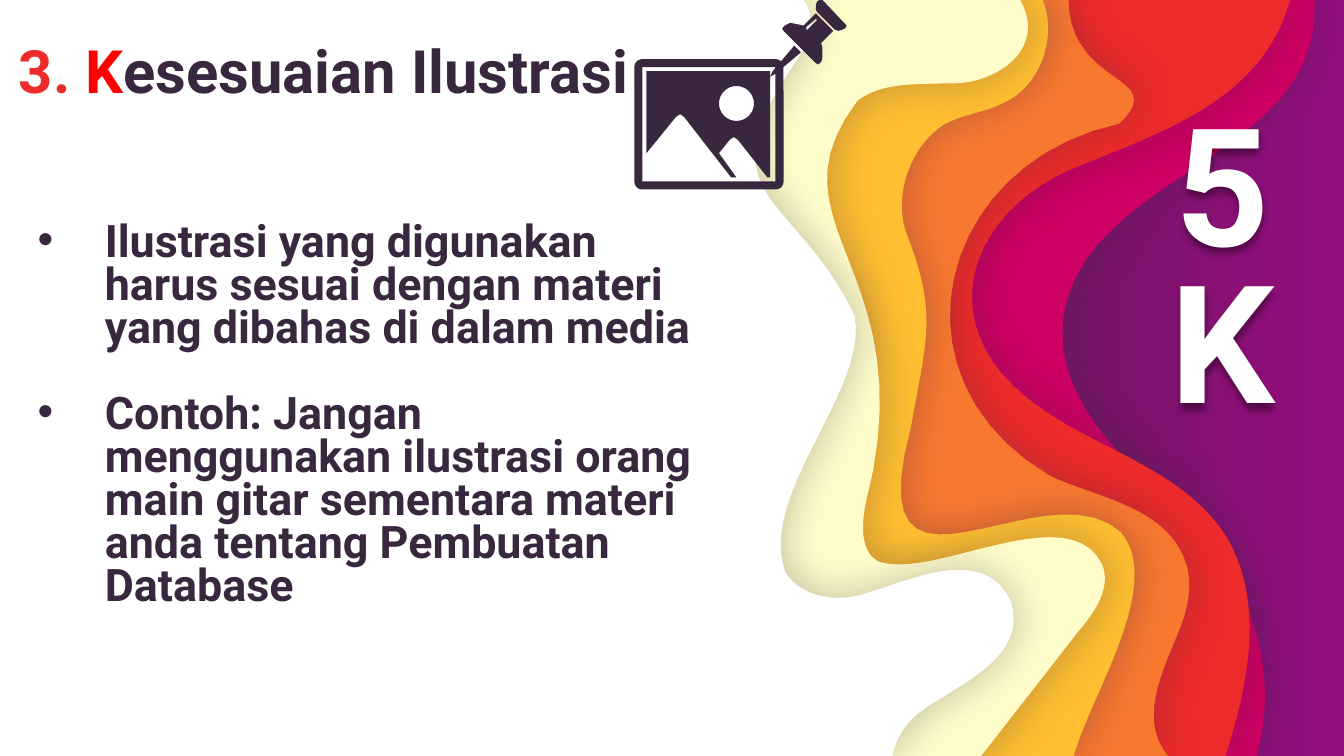
from lxml.etree import SubElement
from math import cos, pi, sin

from pptx import Presentation
from pptx.dml.color import RGBColor
from pptx.enum.shapes import MSO_SHAPE
from pptx.enum.text import MSO_ANCHOR, MSO_AUTO_SIZE, PP_ALIGN
from pptx.oxml.ns import qn
from pptx.util import Inches, Pt

PURPLE = RGBColor(0x94, 0x0D, 0x7F)
DARK_PURPLE = RGBColor(0x5E, 0x1B, 0x53)
MAGENTA = RGBColor(0xCE, 0x00, 0x63)
RED = RGBColor(0xED, 0x2B, 0x2B)
BRIGHT_RED = RGBColor(0xFF, 0x00, 0x00)
ORANGE = RGBColor(0xF9, 0x78, 0x30)
YELLOW = RGBColor(0xFF, 0xBF, 0x31)
CREAM = RGBColor(0xFE, 0xFD, 0xCA)
WHITE = RGBColor(0xFF, 0xFF, 0xFF)
INK = RGBColor(0x39, 0x27, 0x3F)
BLACK = RGBColor(0x00, 0x00, 0x00)

WIDTH = 10
HEIGHT = WIDTH * 9 / 16
CURVE_STEPS = 20

presentation = Presentation()
presentation.slide_width = Inches(WIDTH)
presentation.slide_height = Inches(HEIGHT)
slide = presentation.slides.add_slide(presentation.slide_layouts[1])
shapes = slide.shapes


def add_outline(contours, color):
    points = [[(Inches(x), Inches(y)) for x, y in contour] for contour in contours]
    builder = shapes.build_freeform(*points[0][0], scale=1.0)
    builder.add_line_segments(points[0][1:], close=True)
    for contour in points[1:]:
        builder.move_to(*contour[0])
        builder.add_line_segments(contour[1:], close=True)
    shape = builder.convert_to_shape()
    shape.fill.solid()
    shape.fill.fore_color.rgb = color
    shape.line.fill.background()
    shape.shadow.inherit = False
    return shape


def add_text(paragraph, text, size=24, color=INK, align=PP_ALIGN.LEFT):
    paragraph.alignment = align
    paragraph.line_spacing = 0.8
    paragraph.space_before = Pt(0)
    run = paragraph.add_run()
    run.text = text
    run.font.name = "Roboto"
    run.font.size = Pt(size)
    run.font.bold = True
    run.font.color.rgb = color


background = slide.background.fill
background.gradient()
background.gradient_angle = 180
for stop, color, position in zip(background.gradient_stops, (PURPLE, DARK_PURPLE), (0, 0.37)):
    stop.color.rgb = color
    stop.position = position

waves = [
    (MAGENTA, (9.14, 4.25),
     [(8.74, 3.64, 7.83, 3.19, 7.91, 2.37), (8.06, 1.28, 9.85, 1.19, 9.78, 0)],
     [(9.35, HEIGHT)], [(9.48, 5.16, 9.4, 4.66, 9.14, 4.25)]),
    (RED, (9.13, 4),
     [(8.79, 3.46, 8.1, 3.34, 7.63, 2.95), (6.94, 2.39, 7.21, 1.59, 7.97, 1.26),
      (8.62, 0.99, 9.39, 0.76, 9.6, 0)],
     [(9.12, HEIGHT)], [(9.28, 5.11, 9.42, 4.5, 9.13, 4)]),
    (ORANGE, (8.74, 4.77),
     [(8.82, 4.59, 8.88, 4.4, 8.83, 4.21), (8.7, 3.77, 8.17, 3.71, 7.81, 3.54),
      (6.57, 2.81, 6.98, 1.21, 8.33, 0.92), (8.71, 0.55, 7.96, 0.66, 7.95, 0)],
     [(8.69, HEIGHT)], [(8.48, 5.37, 8.63, 5.04, 8.74, 4.77)]),
    (YELLOW, (8.34, 3.96),
     [(7.76, 3.44, 6.36, 4.74, 6.78, 3.17), (6.89, 2.54, 6.98, 2.34, 6.75, 1.75),
      (6.64, 1.47, 6.77, 1.09, 7.02, 0.93), (7.16, 0.85, 7.32, 0.84, 7.46, 0.77),
      (7.74, 0.65, 7.87, 0.28, 7.76, 0)],
     [(7.99, HEIGHT)], [(8.11, 5.18, 8.67, 4.35, 8.34, 3.96)]),
    (CREAM, (8.2, 4.2),
     [(7.95, 3.69, 6.95, 4.32, 6.54, 4.18), (6.4, 4.11, 6.41, 3.91, 6.44, 3.75),
      (6.9, 2, 5.67, 1.68, 6.38, 0.75), (6.56, 0.61, 6.82, 0.63, 7.05, 0.62),
      (7.41, 0.64, 7.8, 0.36, 7.59, 0)],
     [(7.3, HEIGHT), (8.03, 4.69)], [(8.15, 4.55, 8.27, 4.37, 8.2, 4.2)]),
    (WHITE, (6.83, 5.31),
     [(7.1, 5.1, 7.66, 4.91, 7.52, 4.47), (7.3, 4.03, 6.74, 4.34, 6.39, 4.43),
      (6.19, 4.48, 5.94, 4.43, 5.84, 4.25), (5.64, 3.67, 6.46, 2.91, 6.36, 2.35),
      (5.91, 1.41, 5.2, 1.5, 5.94, 0.43), (6.03, 0.3, 6.07, 0.13, 5.98, 0)],
     [(6.64, HEIGHT)], [(6.66, 5.51, 6.73, 5.39, 6.83, 5.31)]),
]
shadowed = []
for color, start, upper_curves, corner, lower_curves in waves:
    outline = [start]
    for segment in upper_curves + [(0, 0), (0, HEIGHT)] + corner + lower_curves:
        if len(segment) == 2:
            outline.append(segment)
            continue
        x0, y0 = outline[-1]
        x1, y1, x2, y2, x3, y3 = segment
        for step in range(1, CURVE_STEPS + 1):
            t = step / CURVE_STEPS
            a, b, c, d = (1 - t) ** 3, 3 * t * (1 - t) ** 2, 3 * t * t * (1 - t), t ** 3
            outline.append((a * x0 + b * x1 + c * x2 + d * x3,
                            a * y0 + b * y1 + c * y2 + d * y3))
    shadowed.append((add_outline([outline], color), INK, 22.5, 0.8, 0, 30))

badge = shapes.add_textbox(Inches(8.36), Inches(2.38), Inches(1.47), Inches(0.86))
add_text(badge.text_frame.paragraphs[0], "5K", size=88, color=WHITE, align=PP_ALIGN.CENTER)
shadowed.append((badge, BLACK, 4, 3, 90, 40))

for shape, color, blur, distance, angle, opacity in shadowed:
    shape.shadow.inherit = False
    effects = shape._element.spPr.find(qn("a:effectLst"))
    shadow = SubElement(effects, qn("a:outerShdw"), blurRad=str(Pt(blur)),
                        dist=str(Pt(distance)), dir=str(angle * 60000), algn="ctr",
                        rotWithShape="0")
    shadow_color = SubElement(shadow, qn("a:srgbClr"), val=str(color))
    SubElement(shadow_color, qn("a:alpha"), val=str(opacity * 1000))

frame = shapes.add_shape(MSO_SHAPE.ROUNDED_RECTANGLE, Inches(4.75), Inches(0.47),
                         Inches(1.05), Inches(0.91))
frame.adjustments[0] = 0.03
frame.fill.background()
frame.line.color.rgb = INK
frame.line.width = Inches(0.06)
frame.shadow.inherit = False

landscape = [(4.81, 0.53), (4.81, 1.14), (5.03, 0.87), (5.06, 0.85), (5.09, 0.87),
             (5.44, 1.32), (5.48, 1.32), (5.35, 1.14), (5.43, 1.04), (5.46, 1.02),
             (5.49, 1.04), (5.71, 1.32), (5.73, 1.32), (5.73, 0.53)]
sun = [(5.48 + 0.13 * cos(2 * pi * step / 36), 0.77 + 0.13 * sin(2 * pi * step / 36))
       for step in range(36)]
add_outline([landscape, sun], INK)

add_outline([[(5.91, 0.34), (5.75, 0.53), (5.73, 0.57), (5.77, 0.55), (5.96, 0.39)]], INK)
pin_body = [(6.07, 0.1), (5.98, 0.19), (5.93, 0.18), (5.88, 0.17), (5.84, 0.19),
            (5.82, 0.21), (5.83, 0.23), (6.07, 0.47), (6.09, 0.48), (6.11, 0.46),
            (6.12, 0.43), (6.12, 0.36), (6.11, 0.32), (6.2, 0.23)]
pin_glint = [(6.07, 0.14), (6.08, 0.15), (6.01, 0.22), (6, 0.22), (6, 0.2)]
add_outline([pin_body, pin_glint], INK)
pin_cap = [(6.1, 0), (6.08, 0.01), (6.07, 0.04), (6.07, 0.07), (6.08, 0.09),
           (6.21, 0.22), (6.24, 0.23), (6.27, 0.22), (6.29, 0.21), (6.3, 0.19),
           (6.29, 0.18), (6.12, 0)]
add_outline([pin_cap], INK)

title = shapes.title
title.left, title.top, title.width, title.height = map(Inches, (0.14, 0.27, 4.99, 0.51))
for text, color in (("3. ", RED), ("K", BRIGHT_RED), ("esesuaian Ilustrasi", INK)):
    add_text(title.text_frame.paragraphs[0], text, size=32, color=color)

body = slide.placeholders[1]
body.left, body.top, body.width, body.height = map(Inches, (0.28, 1.94, 4.99, 2.6))
points = [
    "Ilustrasi yang digunakan harus sesuai dengan materi yang dibahas di dalam media",
    "Contoh: Jangan menggunakan ilustrasi orang main gitar sementara materi anda tentang "
    "Pembuatan Database",
]
for index, text in enumerate(points):
    paragraph = body.text_frame.add_paragraph() if index else body.text_frame.paragraphs[0]
    properties = paragraph._p.get_or_add_pPr()
    properties.set("marL", str(Inches(0.5)))
    properties.set("indent", str(Inches(-0.5)))
    bullet_color = SubElement(properties, qn("a:buClr"))
    SubElement(bullet_color, qn("a:srgbClr"), val=str(INK))
    SubElement(properties, qn("a:buChar"), char="•")
    add_text(paragraph, text)
    paragraph.space_before = Pt(23 * index)

for shape in (badge, title, body):
    text_frame = shape.text_frame
    text_frame.word_wrap = True
    text_frame.auto_size = MSO_AUTO_SIZE.NONE
    text_frame.vertical_anchor = MSO_ANCHOR.BOTTOM
    text_frame.margin_left = text_frame.margin_right = Inches(0)
    text_frame.margin_top = text_frame.margin_bottom = Inches(0)
    shapes._spTree.append(shape._element)

presentation.save("out.pptx")
